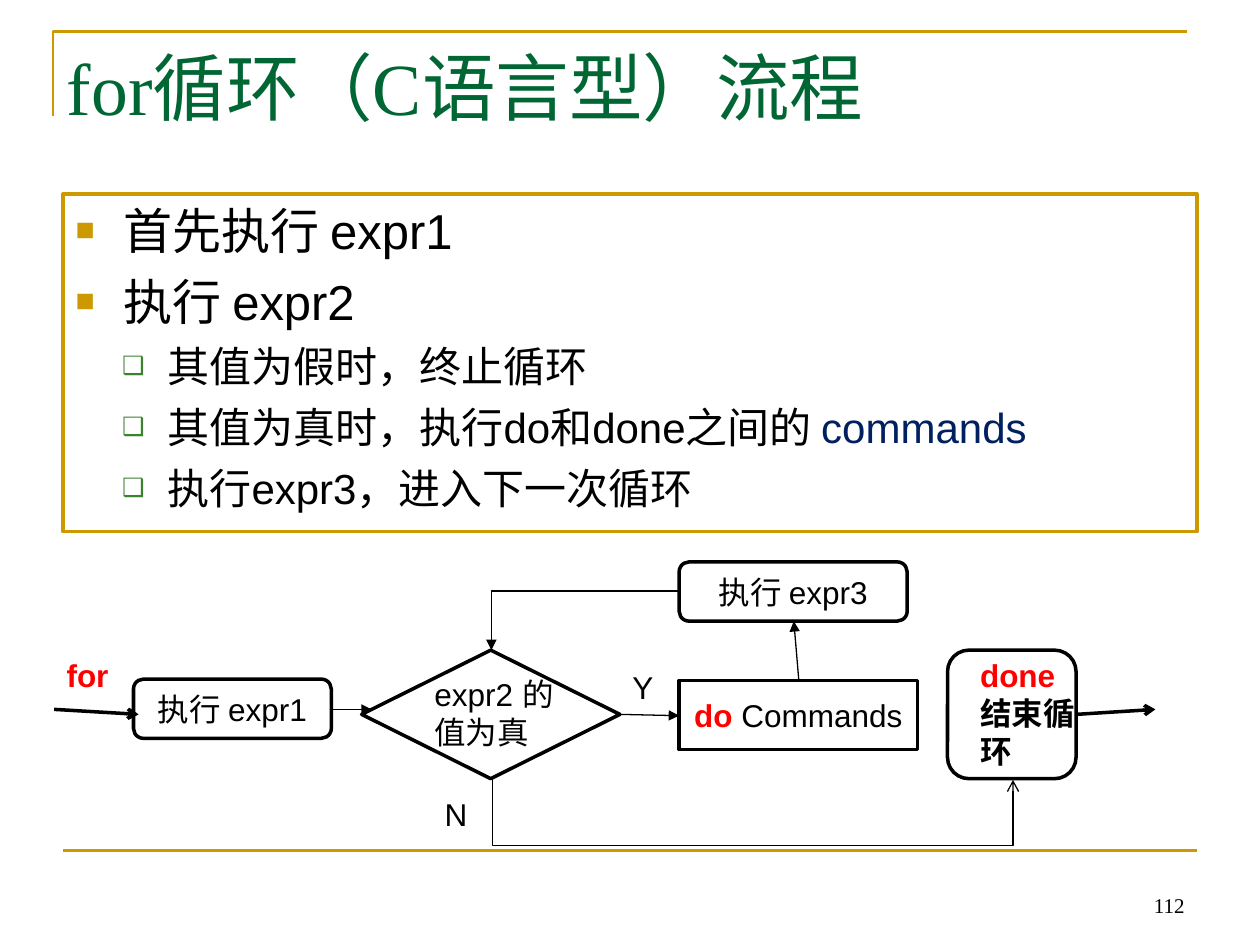
from lxml import etree
from pptx import Presentation
from pptx.dml.color import RGBColor
from pptx.enum.shapes import MSO_CONNECTOR, MSO_SHAPE
from pptx.enum.text import MSO_ANCHOR, MSO_AUTO_SIZE, PP_ALIGN
from pptx.oxml.ns import qn
from pptx.util import Pt

PX = 9144  # EMU per px, 100 px to the inch

GOLD = RGBColor(0xCC, 0x99, 0x00)
GREEN = RGBColor(0x00, 0x66, 0x33)
LEAF = RGBColor(0x3B, 0x81, 0x2F)
NAVY = RGBColor(0x00, 0x20, 0x60)
RED = RGBColor(0xFF, 0x00, 0x00)
BLACK = RGBColor(0, 0, 0)
WHITE = RGBColor(0xFF, 0xFF, 0xFF)

LEVELS = [
    dict(size=28, space=7, indent=38, hang=38, char="■", color=GOLD, pct=65),
    dict(size=24, space=6, indent=73, hang=36, char="❑", color=LEAF, pct=60),
]
RED_BOLD = dict(color=RED, bold=True)
BLACK_BOLD = dict(bold=True)


def place(s, box):
    for name, value in zip(("left", "top", "width", "height"), box):
        setattr(s, name, value * PX)


def add_runs(p, runs, size=18, font="Arial"):
    """Each run is (text, format values)."""
    for text, fmt in runs:
        r = p.add_run()
        r.text = text
        values = dict(name=font, size=Pt(size), bold=fmt.get("bold", False))
        for name, value in values.items():
            setattr(r.font, name, value)
        r.font.color.rgb = fmt.get("color", BLACK)


def outline(s, color, width, fill=WHITE):
    s.fill.solid()
    s.fill.fore_color.rgb = fill
    s.line.color.rgb = color
    s.line.width = Pt(width)


def add_label(slide, box, runs, align=PP_ALIGN.LEFT, anchor=MSO_ANCHOR.TOP, **text):
    tf = slide.shapes.add_textbox(*(v * PX for v in box)).text_frame
    tf.word_wrap = True
    tf.vertical_anchor = anchor
    p = tf.paragraphs[0]
    p.alignment = align
    add_runs(p, runs, **text)


def add_node(slide, kind, box, runs=()):
    s = slide.shapes.add_shape(kind, *(v * PX for v in box))
    s.shadow.inherit = False
    outline(s, BLACK, 2)
    s.text_frame.vertical_anchor = MSO_ANCHOR.MIDDLE
    p = s.text_frame.paragraphs[0]
    p.alignment = PP_ALIGN.CENTER
    add_runs(p, runs)


def add_line(slide, start, end, width=0.75, color=BLACK, head=None,
             kind=MSO_CONNECTOR.STRAIGHT):
    s = slide.shapes.add_connector(kind, *(v * PX for v in (*start, *end)))
    s.line.color.rgb = color
    s.line.width = Pt(width)
    if head:
        etree.SubElement(s.line._get_or_add_ln(), qn("a:tailEnd"), type=head)
    etree.SubElement(s._element.spPr, qn("a:effectLst"))
    return s


def add_frame(slide, box):
    """Corner rule above the title and the rule above the footer."""
    x, y, w, h = box
    builder = slide.shapes.build_freeform(x, y + 67, scale=PX)
    builder.add_line_segments([(x, y), (x + w, y)], close=False)
    s = builder.convert_to_shape()
    s.shadow.inherit = False
    s.fill.background()
    s.line.color.rgb = GOLD
    s.line.width = Pt(1.5)
    add_line(slide, (x + 8, y + h), (x + w + 8, y + h), 1.5, GOLD)


def fill_title(s, box, text):
    place(s, box)
    tf = s.text_frame
    tf.vertical_anchor = MSO_ANCHOR.TOP
    tf.auto_size = MSO_AUTO_SIZE.NONE
    tf.paragraphs[0].alignment = PP_ALIGN.LEFT
    add_runs(tf.paragraphs[0], [(text, dict(color=GREEN))], 42, "Times New Roman")


def fill_body(s, box, items):
    place(s, box)
    outline(s, GOLD, 2)
    tf = s.text_frame
    tf.auto_size = MSO_AUTO_SIZE.NONE
    for i, (level, runs) in enumerate(items):
        p = tf.add_paragraph() if i else tf.paragraphs[0]
        style = LEVELS[level]
        p.level = level
        p.space_before = Pt(style["space"] if i else 0)
        pPr = p._p.get_or_add_pPr()
        pPr.set("marL", str(style["indent"] * PX))
        pPr.set("indent", str(-style["hang"] * PX))
        clr = etree.SubElement(pPr, qn("a:buClr"))
        etree.SubElement(clr, qn("a:srgbClr"), val=str(style["color"]))
        etree.SubElement(pPr, qn("a:buSzPct"), val=str(style["pct"] * 1000))
        etree.SubElement(pPr, qn("a:buChar"), char=style["char"])
        add_runs(p, runs, style["size"])


def add_flowchart(slide, box):
    x, y = box[:2]

    def at(dx, dy, *size):
        return (x + dx, y + dy, *size)

    # Steps
    add_node(slide, MSO_SHAPE.DIAMOND, at(244, 70, 205, 102))
    add_node(slide, MSO_SHAPE.ROUNDED_RECTANGLE, at(496, 0, 181, 47),
             [("执行 expr3", {})])
    add_node(slide, MSO_SHAPE.ROUNDED_RECTANGLE, at(63, 93, 157, 47),
             [("执行 expr1", {})])
    add_node(slide, MSO_SHAPE.ROUNDED_RECTANGLE, at(709, 70, 102, 102))
    add_node(slide, MSO_SHAPE.RECTANGLE, at(496, 94, 189, 55),
             [("do", RED_BOLD), (" Commands", {})])

    # Labels
    for label_box, runs in [
        ((292, 85, 126, 70), [("expr2 的值为真", {})]),
        ((725, 70, 95, 100), [("done", RED_BOLD), ("结束循环", BLACK_BOLD)]),
        ((449, 79, 39, 40), [("Y", {})]),
        ((300, 180, 39, 40), [("N", {})]),
        ((0, 70, 55, 40), [("for", RED_BOLD)]),
    ]:
        add_label(slide, at(*label_box), runs)

    # Straight arrows
    for start, end, width, head in [
        ((0, 117), (67, 121), 2, "arrow"),
        ((811, 121), (874, 117), 2, "arrow"),
        ((221, 117), (252, 117), 0.75, "triangle"),
        ((449, 121), (496, 122), 0.75, "triangle"),
        ((591, 94), (587, 47), 0.75, "triangle"),
    ]:
        add_line(slide, at(*start), at(*end), width, head=head)

    # Return from expr3 to the test: one bend
    back = add_line(slide, at(496, 23), at(347, 70), head="triangle",
                    kind=MSO_CONNECTOR.ELBOW)
    back._element.spPr.find(qn("a:prstGeom")).set("prst", "bentConnector2")

    # Exit N: an elbow turned a quarter, dipping 54 px below its ends
    leave = add_line(slide, at(555, -34), at(554, 379), head="arrow",
                     kind=MSO_CONNECTOR.ELBOW)
    spPr = leave._element.spPr
    spPr.find(qn("a:xfrm")).set("rot", str(270 * 60000))
    guides = spPr.find(qn("a:prstGeom")).get_or_add_avLst()
    etree.SubElement(guides, qn("a:gd"), name="adj1", fmla=f"val {54 * 100000}")


def main():
    prs = Presentation()
    prs.slide_width, prs.slide_height = 1000 * PX, 750 * PX
    slide = prs.slides.add_slide(prs.slide_layouts[1])
    title, body = slide.placeholders

    add_frame(slide, (42, 25, 900, 650))
    fill_title(title, (43, 28, 900, 125), "for循环（C语言型）流程")
    fill_body(body, (50, 154, 900, 268), [
        (0, [("首先执行 expr1", {})]),
        (0, [("执行 expr2", {})]),
        (1, [("其值为假时，终止循环", {})]),
        (1, [("其值为真时，执行do和done之间的 ", {}),
             ("commands", dict(color=NAVY))]),
        (1, [("执行expr3，进入下一次循环", {})]),
    ])
    add_label(slide, (717, 683, 233, 50), [("112", {})], PP_ALIGN.RIGHT,
              MSO_ANCHOR.BOTTOM, size=12, font="Times New Roman")
    add_flowchart(slide, (43, 446, 874, 226))
    prs.save("out.pptx")


if __name__ == "__main__":
    main()
